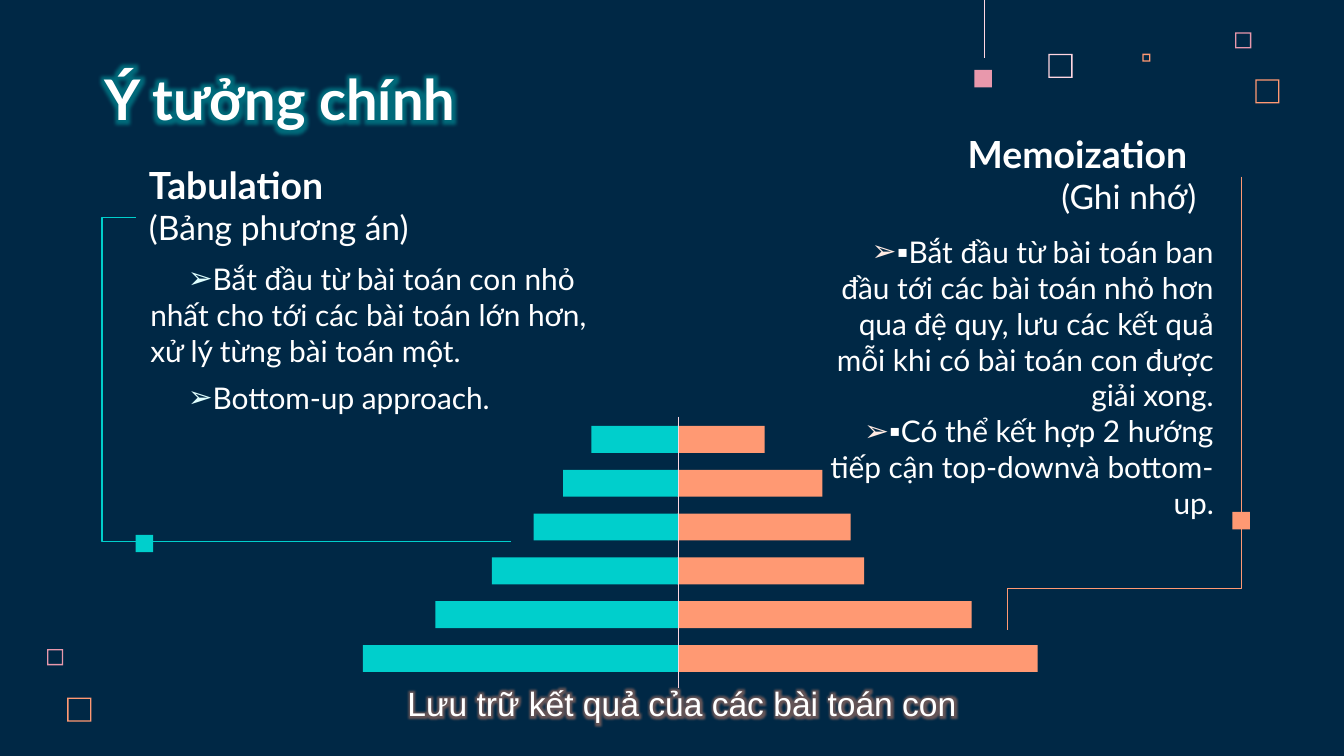
from dataclasses import dataclass

from lxml.etree import SubElement
from pptx import Presentation
from pptx.dml.color import RGBColor
from pptx.enum.shapes import MSO_CONNECTOR, MSO_SHAPE
from pptx.enum.text import MSO_ANCHOR, MSO_AUTO_SIZE, PP_ALIGN
from pptx.oxml.ns import qn
from pptx.shapes.autoshape import Shape
from pptx.shapes.connector import Connector
from pptx.slide import Slide
from pptx.text.text import TextFrame, _Paragraph, _Run
from pptx.util import Inches, Pt

NAVY = RGBColor(0x00, 0x28, 0x45)
WHITE = RGBColor(0xFF, 0xFF, 0xFF)
TEAL = RGBColor(0x00, 0xCF, 0xCC)
ORANGE = RGBColor(0xFF, 0x99, 0x73)
PINK = RGBColor(0xE8, 0x98, 0xAC)
PALE_PINK = RGBColor(0xFF, 0xD6, 0xE1)
PALE_TEAL = RGBColor(0xDF, 0xFF, 0xFF)
PALE_ORANGE = RGBColor(0xFF, 0xEB, 0xE3)

PAGE_WIDTH = 10
PAGE_HEIGHT = PAGE_WIDTH * 9 / 16
FRAME_THICKNESS = 0.01
MARKER_SIZE = 0.13
AXIS_X = 5.05
ORANGE_LEFT = 5.04
BAR_HEIGHT = 0.2
FIRST_BAR_TOP = 3.17
LAST_BAR_TOP = 4.8


@dataclass(frozen=True)
class Area:
    left: float
    top: float
    width: float
    height: float


@dataclass(frozen=True)
class Square:
    left: float
    top: float
    size: float
    color: RGBColor


@dataclass(frozen=True)
class Approach:
    name: str
    translation: str
    heading_area: Area
    points: tuple[str, ...]
    points_area: Area
    alignment: PP_ALIGN
    bullet_color: RGBColor
    space_after: float


FRAMES = (
    Square(7.8, 0.4, 0.18, PALE_PINK),
    Square(9.19, 0.24, 0.12, PINK),
    Square(8.5, 0.4, 0.06, ORANGE),
    Square(9.34, 0.59, 0.18, ORANGE),
    Square(0.35, 4.83, 0.12, PINK),
    Square(0.5, 5.19, 0.18, ORANGE),
)
MARKERS = (
    Square(7.25, 0.52, MARKER_SIZE, PINK),
    Square(1.01, 3.98, MARKER_SIZE, TEAL),
    Square(9.17, 3.81, MARKER_SIZE, ORANGE),
)
TEAL_WIDTHS = (0.65, 0.86, 1.08, 1.39, 1.81, 2.35)
ORANGE_WIDTHS = (0.65, 1.08, 1.29, 1.39, 2.19, 2.68)
APPROACHES = (
    Approach(
        "Tabulation ", "(Bảng phương án)", Area(1.01, 1.31, 2.65, 0.63),
        ("Bắt đầu từ bài toán con nhỏ nhất cho tới các bài toán lớn hơn, xử lý từng bài toán một.",
         "Bottom-up approach."),
        Area(1.02, 1.84, 3.54, 1.22), PP_ALIGN.LEFT, PALE_TEAL, 6,
    ),
    Approach(
        "Memoization ", "(Ghi nhớ)", Area(6.01, 1.08, 2.99, 0.63),
        ("▪Bắt đầu từ bài toán ban đầu tới các bài toán nhỏ hơn qua đệ quy, "
         "lưu các kết quả mỗi khi có bài toán con được giải xong.",
         "▪Có thể kết hợp 2 hướng tiếp cận top-downvà bottom-up."),
        Area(5.95, 1.64, 3.18, 1.22), PP_ALIGN.RIGHT, PALE_ORANGE, 0,
    ),
)


def add_block(slide: Slide, area: Area, color: RGBColor, kind: MSO_SHAPE = MSO_SHAPE.RECTANGLE) -> Shape:
    block = slide.shapes.add_shape(
        kind, Inches(area.left), Inches(area.top), Inches(area.width), Inches(area.height))
    block.shadow.inherit = False
    block.fill.solid()
    block.fill.fore_color.rgb = color
    block.line.fill.background()
    return block


def add_square(slide: Slide, square: Square, kind: MSO_SHAPE) -> Shape:
    return add_block(slide, Area(square.left, square.top, square.size, square.size), square.color, kind)


def add_line(slide: Slide, start: tuple[float, float], end: tuple[float, float], color: RGBColor,
             width: float = 0.75, kind: MSO_CONNECTOR = MSO_CONNECTOR.STRAIGHT) -> Connector:
    line = slide.shapes.add_connector(kind, *(Inches(value) for value in (*start, *end)))
    line.line.color.rgb = color
    line.line.width = Pt(width)
    SubElement(line.element.spPr, qn("a:effectLst"))
    return line


def add_elbow(slide: Slide, start: tuple[float, float], end: tuple[float, float], color: RGBColor,
              bend: float, rotation: int = 0) -> None:
    elbow = add_line(slide, start, end, color, kind=MSO_CONNECTOR.ELBOW)
    properties = elbow.element.spPr
    properties.find(qn("a:xfrm")).set("rot", str(rotation * 60000))
    geometry = properties.find(qn("a:prstGeom"))
    adjustments = geometry.find(qn("a:avLst"))
    if adjustments is None:
        adjustments = SubElement(geometry, qn("a:avLst"))
    SubElement(adjustments, qn("a:gd"), name="adj1", fmla=f"val {round(bend * 100000)}")


def add_span(para: _Paragraph, text: str, size: float, bold: bool = False, font: str = "Lato") -> _Run:
    span = para.add_run()
    span.text = text
    span.font.name = font
    span.font.size = Pt(size)
    span.font.bold = bold
    span.font.color.rgb = WHITE
    return span


def add_glow(span: _Run, color: RGBColor, radius: float) -> None:
    properties = span.font._element
    effects = SubElement(properties, qn("a:effectLst"))
    properties.find(qn("a:solidFill")).addnext(effects)
    glow = SubElement(effects, qn("a:glow"), rad=str(Pt(radius)))
    shade = SubElement(glow, qn("a:srgbClr"), val=str(color))
    SubElement(shade, qn("a:alpha"), val="40000")


def add_bullet(para: _Paragraph, color: RGBColor) -> None:
    properties = para._p.get_or_add_pPr()
    properties.set("marL", "0")
    properties.set("indent", str(Inches(0.28)))
    bullet_color = SubElement(properties, qn("a:buClr"))
    SubElement(bullet_color, qn("a:srgbClr"), val=str(color))
    SubElement(properties, qn("a:buFont"), typeface="Arial")
    SubElement(properties, qn("a:buChar"), char="➢")


def place_text(box: Shape, area: Area, anchor: MSO_ANCHOR) -> TextFrame:
    box.left, box.top = Inches(area.left), Inches(area.top)
    box.width, box.height = Inches(area.width), Inches(area.height)
    frame = box.text_frame
    frame.word_wrap = True
    frame.auto_size = MSO_AUTO_SIZE.NONE
    frame.vertical_anchor = anchor
    frame.margin_left = frame.margin_right = frame.margin_top = frame.margin_bottom = Inches(0.1)
    return frame


def add_text_frame(slide: Slide, area: Area, anchor: MSO_ANCHOR) -> TextFrame:
    return place_text(slide.shapes.add_textbox(0, 0, 0, 0), area, anchor)


def add_approach(slide: Slide, approach: Approach) -> None:
    heading = add_text_frame(slide, approach.heading_area, MSO_ANCHOR.BOTTOM).paragraphs[0]
    heading.alignment = approach.alignment
    add_span(heading, approach.name, 20, bold=True)
    heading.add_line_break()
    add_span(heading, approach.translation, 18)

    frame = add_text_frame(slide, approach.points_area, MSO_ANCHOR.TOP)
    for index, point in enumerate(approach.points):
        para = frame.add_paragraph() if index else frame.paragraphs[0]
        para.alignment = approach.alignment
        para.space_after = Pt(approach.space_after)
        add_bullet(para, approach.bullet_color)
        add_span(para, point, 16)


def add_pyramid(slide: Slide) -> None:
    pitch = (LAST_BAR_TOP - FIRST_BAR_TOP) / (len(TEAL_WIDTHS) - 1)
    for row, (teal_width, orange_width) in enumerate(zip(TEAL_WIDTHS, ORANGE_WIDTHS)):
        top = FIRST_BAR_TOP + row * pitch
        add_block(slide, Area(ORANGE_LEFT, top, orange_width, BAR_HEIGHT), ORANGE)
        add_block(slide, Area(AXIS_X - teal_width, top, teal_width, BAR_HEIGHT), TEAL)
    add_line(slide, (AXIS_X, 3.1), (AXIS_X, 5.12), PALE_PINK)


def main() -> None:
    deck = Presentation()
    deck.slide_width, deck.slide_height = Inches(PAGE_WIDTH), Inches(PAGE_HEIGHT)
    page = deck.slides.add_slide(deck.slide_layouts[5])
    page.background.fill.solid()
    page.background.fill.fore_color.rgb = NAVY

    for square in FRAMES:
        add_square(page, square, MSO_SHAPE.FRAME).adjustments[0] = FRAME_THICKNESS / square.size
    add_line(page, (7.32, 0), (7.32, 0.43), PALE_PINK, 0.25)

    title = place_text(page.shapes.title, Area(0.68, 0.45, 6.73, 0.63), MSO_ANCHOR.BOTTOM).paragraphs[0]
    title.alignment = PP_ALIGN.LEFT
    add_glow(add_span(title, "Ý tưởng chính", 30, bold=True), TEAL, 8)

    add_pyramid(page)
    add_elbow(page, (1.01, 1.62), (3.8, 4.03), TEAL, -0.09)
    add_elbow(page, (6.68, 2.13), (10.05, 3.87), ORANGE, 0.91, rotation=90)
    for square in MARKERS:
        add_square(page, square, MSO_SHAPE.RECTANGLE)
    for approach in APPROACHES:
        add_approach(page, approach)

    caption_frame = add_text_frame(page, Area(2.91, 5.03, 4.33, 0.4), MSO_ANCHOR.TOP)
    caption_frame.word_wrap = False
    caption_frame.margin_top = caption_frame.margin_bottom = Inches(0.05)
    caption = caption_frame.paragraphs[0]
    caption.alignment = PP_ALIGN.CENTER
    add_glow(add_span(caption, "Lưu trữ kết quả của các bài toán con", 18, font="Arial"), ORANGE, 8)

    deck.save("out.pptx")


if __name__ == "__main__":
    main()
